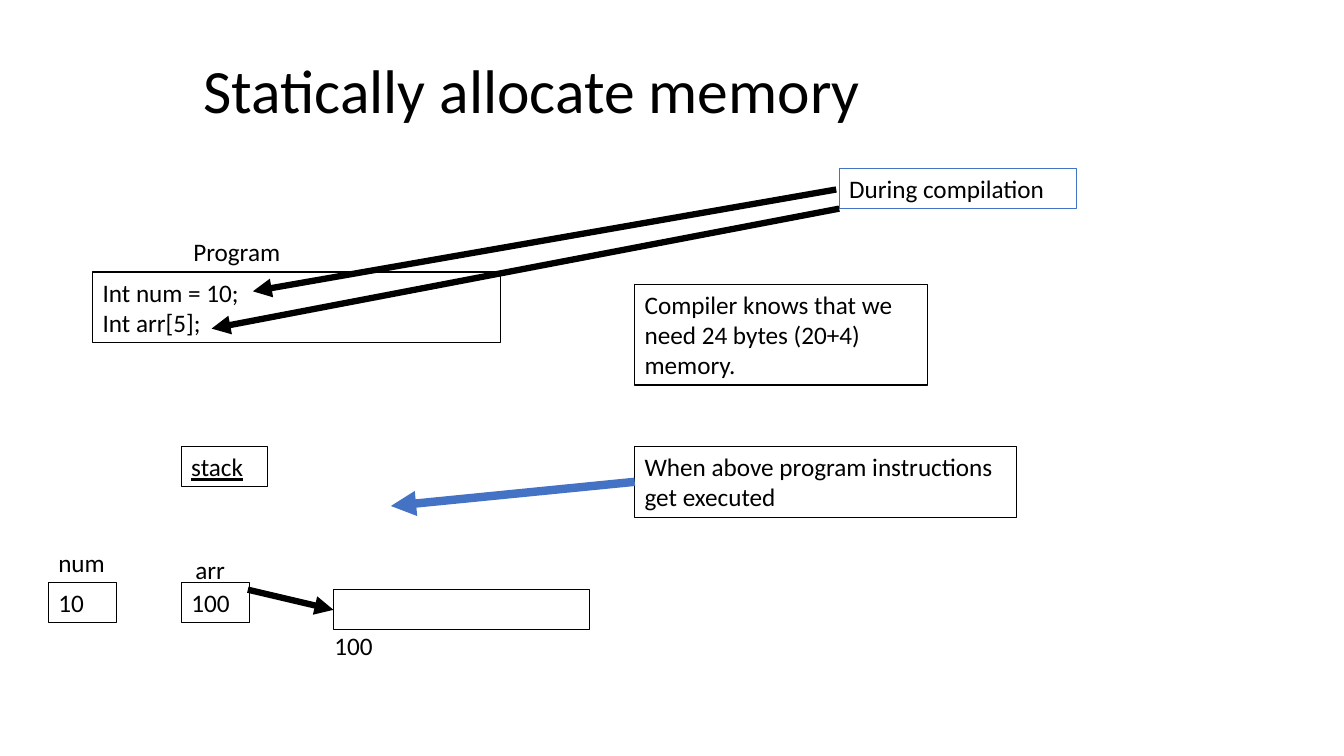
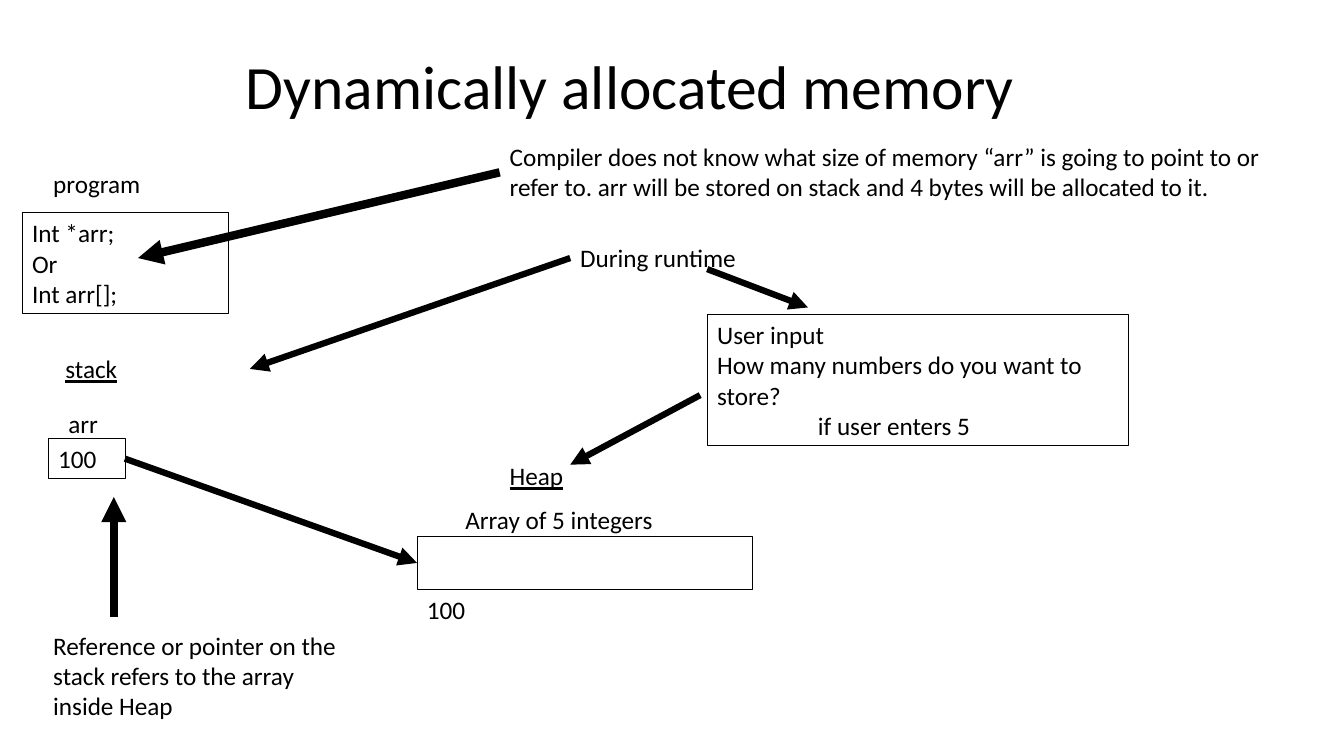
"""Build two slides that compare static and dynamic memory allocation."""
import dataclasses

import lxml.etree
import pptx
import pptx.dml.color
import pptx.enum.shapes
import pptx.enum.text
import pptx.oxml.ns
import pptx.util

Inches = pptx.util.Inches
Pt = pptx.util.Pt


@dataclasses.dataclass(frozen=True)
class Theme:
    """Colours, type sizes and line widths of the deck."""
    ink: str = "000000"
    paper: str = "FFFFFF"
    accent: str = "4472C4"
    font: str = "Calibri"
    title_size: float = 44
    body_size: float = 18
    outline: float = 0.75
    frame: float = 1
    arrow: float = 4.5
    bold_arrow: float = 6


THEME = Theme()


def rgb(value):
    """Turn a hex string into a colour."""
    return pptx.dml.color.RGBColor.from_string(value)


def write(frame, text, *, size=THEME.body_size, underline=None, indents=(), spacing=None, middle=False):
    """Write one paragraph per line, with optional left indents in inches."""
    anchors = pptx.enum.text.MSO_ANCHOR
    frame.word_wrap = True
    frame.vertical_anchor = anchors.MIDDLE if middle else anchors.TOP
    for number, line in enumerate(text.split("\n")):
        paragraph = frame.paragraphs[0] if number == 0 else frame.add_paragraph()
        paragraph.alignment = pptx.enum.text.PP_ALIGN.LEFT
        if spacing:
            paragraph.line_spacing = spacing
        if number < len(indents):
            paragraph._p.get_or_add_pPr().set("marL", str(Inches(indents[number])))
        run = paragraph.add_run()
        run.text = line
        run.font.name = THEME.font
        run.font.size = Pt(size)
        run.font.underline = underline
        run.font.color.rgb = rgb(THEME.ink)


class Deck:
    """Hold the presentation, its style and the current slide."""

    def __init__(self, theme):
        """Start an empty widescreen presentation."""
        self.theme = theme
        self.presentation = pptx.Presentation()
        self.presentation.slide_width = Inches(13.34)
        self.presentation.slide_height = Inches(7.5)
        self.slide = None

    def start(self, title, left, top, width, height, **style):
        """Add a blank slide with its title."""
        self.slide = self.presentation.slides.add_slide(self.presentation.slide_layouts[6])
        self.label(title, left, top, width, height, size=self.theme.title_size,
                   spacing=0.9, middle=True, **style)

    def label(self, text, left, top, width, height=0.4, **style):
        """Add text without an outline."""
        area = self.slide.shapes.add_textbox(*map(Inches, (left, top, width, height)))
        write(area.text_frame, text, **style)

    def box(self, text, left, top, width, height=0.4, *, line=THEME.ink,
            weight=THEME.outline, fill=None, **style):
        """Add an outlined rectangle, with text if there is any."""
        rectangle = self.slide.shapes.add_shape(
            pptx.enum.shapes.MSO_SHAPE.RECTANGLE, *map(Inches, (left, top, width, height)))
        rectangle.shadow.inherit = False
        if fill:
            rectangle.fill.solid()
            rectangle.fill.fore_color.rgb = rgb(fill)
        else:
            rectangle.fill.background()
        rectangle.line.color.rgb = rgb(line)
        rectangle.line.width = Pt(weight)
        if text:
            write(rectangle.text_frame, text, **style)

    def arrow(self, start, end, weight=THEME.arrow, color=THEME.ink):
        """Add a straight arrow that points at its end."""
        connector = self.slide.shapes.add_connector(
            pptx.enum.shapes.MSO_CONNECTOR.STRAIGHT, *map(Inches, (*start, *end)))
        connector.line.color.rgb = rgb(color)
        connector.line.width = Pt(weight)
        qn = pptx.oxml.ns.qn
        lxml.etree.SubElement(connector.line._get_or_add_ln(), qn("a:tailEnd"), type="triangle")
        lxml.etree.SubElement(connector._element.spPr, qn("a:effectLst"))


def static_memory(deck):
    """Show variables whose size the compiler knows."""
    theme = deck.theme
    deck.start("Statically allocate memory", 0.92, 0.4, 11.5, 1.05, indents=[1])
    deck.box("Int num = 10;\nInt arr[5];", 0.92, 2.7, 4.05, 0.7,
             weight=theme.frame, fill=theme.paper)
    deck.label("Program", 1.72, 2.3, 1.22, indents=[0.1])
    deck.box("During compilation", 8.33, 1.67, 2.36, line=theme.accent)
    deck.arrow((8.3, 1.88), (2.51, 2.89))
    deck.arrow((8.33, 2.07), (2.1, 3.26))

    notes_left = 6.3
    deck.box("Compiler knows that we need 24 bytes (20+4) memory.", notes_left, 2.82, 2.91, 1)

    num_left, arr_left, cell_top, cell_width = 0.48, 1.8, 5.78, 0.68
    deck.box("stack", arr_left, 4.43, 0.86, underline=True)
    deck.box("num", num_left, cell_top - 0.4, cell_width, line=theme.paper)
    deck.box("10", num_left, cell_top, cell_width)
    deck.label("arr", 1.84, 5.45, 0.61)
    deck.box("100", arr_left, cell_top, cell_width)
    deck.box("", 3.31, 5.85, 2.54)
    deck.label("100", 3.22, 6.2, 0.77)
    deck.arrow((2.46, 5.85), (3.31, 6.05))

    deck.box("When above program instructions get executed", notes_left, 4.43, 3.79, 0.7)
    deck.arrow((notes_left, 4.78), (3.88, 5.02), theme.bold_arrow, theme.accent)


def dynamic_memory(deck):
    """Show an array whose size is known only at run time."""
    theme = deck.theme
    deck.start("Dynamically allocated memory", 2.34, 0.29, 7.88, 1.2)
    deck.label("program", 0.43, 1.62, 1.13)
    deck.box("Int *arr;\nOr\nInt arr[];", 0.22, 2.11, 2.05, 1)
    deck.label("Compiler does not know what size of memory “arr” is going to point to or "
               "refer to. arr will be stored on stack and 4 bytes will be allocated to it.",
               4.96, 1.35, 7.71, 0.7)
    deck.arrow((4.96, 1.71), (1.37, 2.56), theme.bold_arrow)

    deck.label("During runtime", 5.66, 2.36, 1.88)
    deck.arrow((5.66, 2.56), (2.48, 3.66))
    deck.label("stack", 0.55, 3.46, 0.88, underline=True)
    deck.label("arr", 0.58, 4, 0.55)
    deck.box("100", 0.48, 4.35, 0.77)

    deck.label("Heap", 4.96, 4.52, 0.88, underline=True)
    deck.box("User input\nHow many numbers do you want to store?\nif user enters 5",
             7.02, 3.12, 4.18, 1.3, indents=[0, 0, 1])
    deck.arrow((7.02, 2.67), (8.02, 3.05))
    deck.arrow((6.95, 3.92), (5.66, 4.61))

    array_left, array_top, array_height = 4.14, 5.32, 0.53
    deck.box("", array_left, array_top, 3.33, array_height)
    deck.label("Array of 5 integers", 4.52, 4.95, 2.58)
    deck.label("100", array_left, array_top + array_height, 0.74)
    deck.arrow((1.24, 4.55), (array_left, array_top + array_height / 2))
    deck.label("Reference or pointer on the stack refers to the array inside Heap",
               0.43, 6.2, 3.16, 1)
    deck.arrow((1.13, 6.12), (1.13, 4.93), theme.bold_arrow)


def main():
    """Build and save the deck."""
    deck = Deck(THEME)
    static_memory(deck)
    dynamic_memory(deck)
    deck.presentation.save("out.pptx")


if __name__ == "__main__":
    main()
